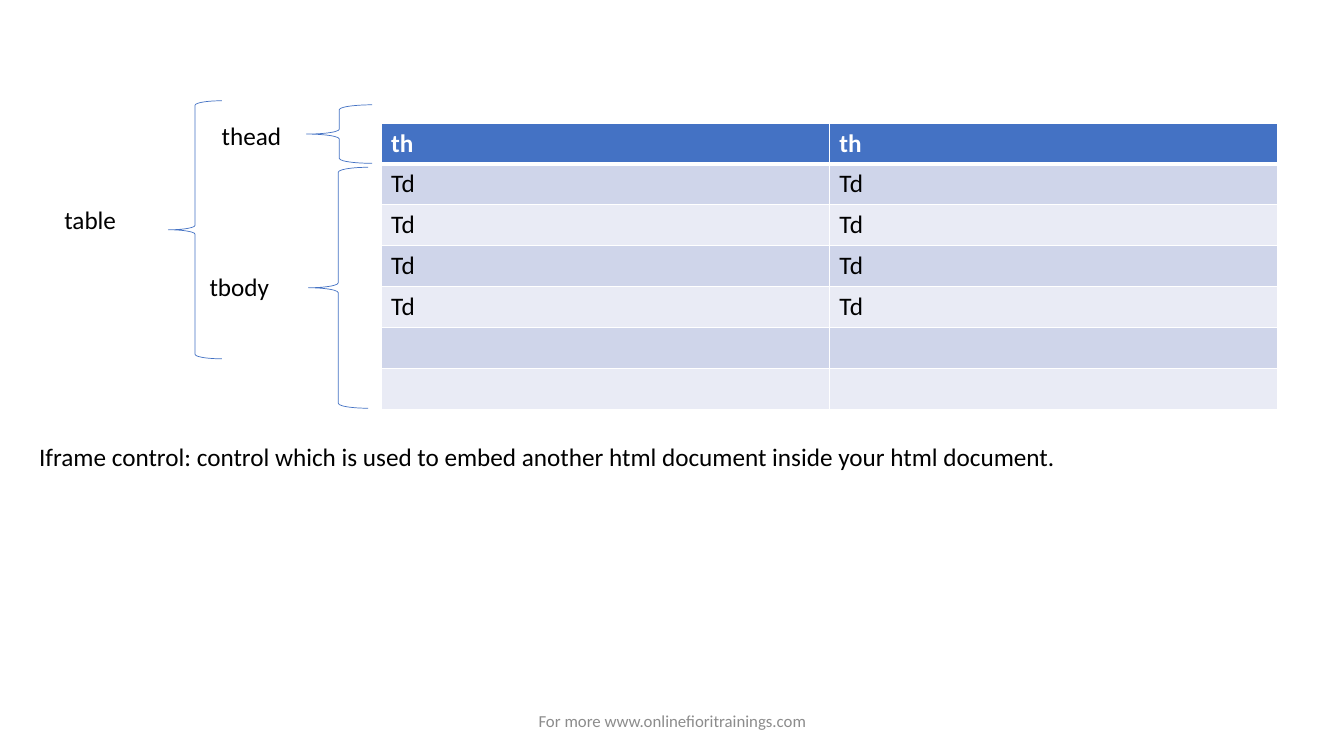
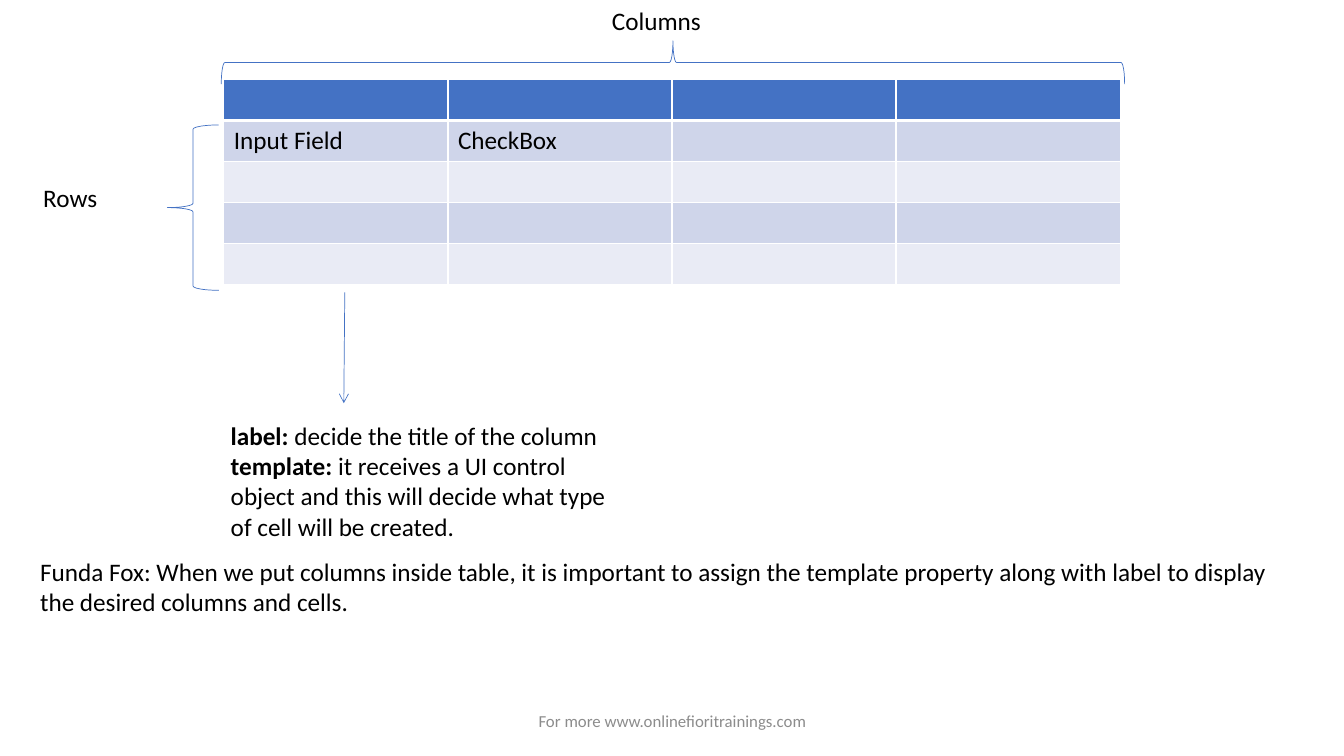
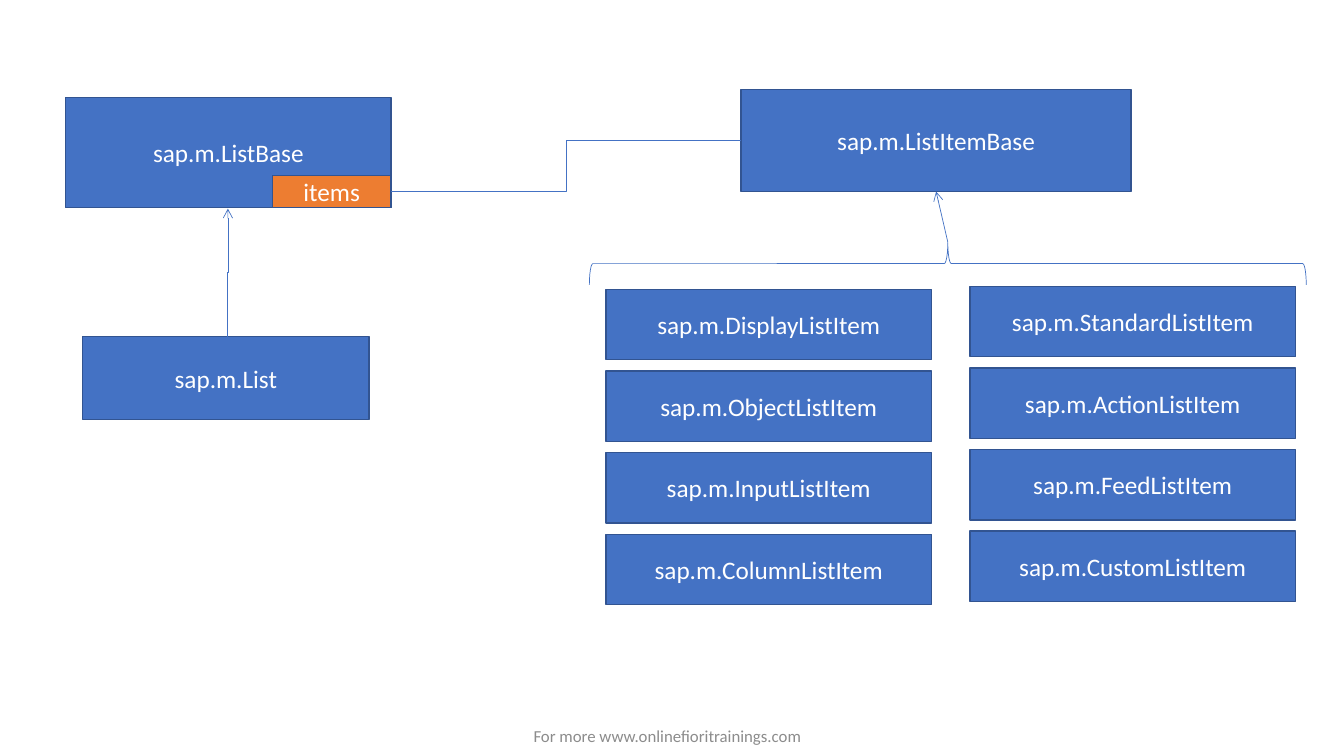
from lxml.etree import SubElement
from pptx import Presentation
from pptx.dml.color import RGBColor
from pptx.enum.shapes import MSO_CONNECTOR, MSO_SHAPE
from pptx.enum.text import MSO_ANCHOR, MSO_AUTO_SIZE, PP_ALIGN
from pptx.oxml.ns import qn
from pptx.util import Emu, Pt

EMU_PER_PX = 9144
FONT = "Calibri"
BLUE = "4472C4"
DARK_BLUE = "325491"
ORANGE = "ED7D31"
WHITE = "FFFFFF"
BLACK = "000000"
GREY = "8C8C8C"
BANDS = ("CFD5EA", "E9EBF5")
FOOTER = "For more www.onlinefioritrainings.com"


def px(length):
    return Emu(round(length * EMU_PER_PX))


def color(value):
    return RGBColor.from_string(value)


def style(paragraph, ink=BLACK, size=18, bold=False, align=PP_ALIGN.LEFT):
    paragraph.alignment = align
    font = paragraph.font
    font.name = FONT
    font.size = Pt(size)
    font.color.rgb = color(ink)
    font.bold = bold


def outline(line, ink=BLUE, width=0.5):
    line.color.rgb = color(ink)
    line.width = Pt(width)


def text_frame(slide, left, top, width, height):
    frame = slide.shapes.add_textbox(*map(px, (left, top, width, height))).text_frame
    frame.word_wrap = True
    return frame


def label(slide, text, left, top, width, height=40):
    frame = text_frame(slide, left, top, width, height)
    frame.auto_size = MSO_AUTO_SIZE.SHAPE_TO_FIT_TEXT
    frame.text = text
    style(frame.paragraphs[0])


def definitions(slide, entries, left, top, width, height):
    frame = text_frame(slide, left, top, width, height)
    frame.auto_size = MSO_AUTO_SIZE.SHAPE_TO_FIT_TEXT
    for number, (term, meaning) in enumerate(entries):
        paragraph = frame.add_paragraph() if number else frame.paragraphs[0]
        style(paragraph)
        term_run = paragraph.add_run()
        term_run.text = f"{term}: "
        term_run.font.bold = True
        paragraph.add_run().text = meaning


def footer(slide, left=442, top=695):
    frame = text_frame(slide, left, top, 450, 40)
    frame.vertical_anchor = MSO_ANCHOR.MIDDLE
    frame.text = FOOTER
    style(frame.paragraphs[0], GREY, 12, align=PP_ALIGN.CENTER)


def brace(slide, left, top, width, height, rotation=0, preset=MSO_SHAPE.LEFT_BRACE):
    shape = slide.shapes.add_shape(preset, *map(px, (left, top, width, height)))
    shape.rotation = rotation
    shape.shadow.inherit = False
    shape.fill.background()
    outline(shape.line)


def class_box(slide, name, left, top, width, height, fill=BLUE):
    box = slide.shapes.add_shape(MSO_SHAPE.RECTANGLE, *map(px, (left, top, width, height)))
    box.shadow.inherit = False
    box.fill.solid()
    box.fill.fore_color.rgb = color(fill)
    outline(box.line, DARK_BLUE, 1)
    frame = box.text_frame
    frame.word_wrap = True
    frame.vertical_anchor = MSO_ANCHOR.MIDDLE
    frame.text = name
    style(frame.paragraphs[0], WHITE, align=PP_ALIGN.CENTER)
    return box


def link(slide, start, end, kind=MSO_CONNECTOR.STRAIGHT, arrow=True):
    connector = slide.shapes.add_connector(kind, *map(px, (*start, *end)))
    outline(connector.line)
    properties = connector.element.spPr
    if arrow:
        SubElement(properties.find(qn("a:ln")), qn("a:tailEnd"), type="arrow")
    SubElement(properties, qn("a:effectLst"))
    return connector


def vertical_elbow(slide, start, end):
    middle_x, middle_y = (start[0] + end[0]) / 2, (start[1] + end[1]) / 2
    turned = [(middle_x + y - middle_y, middle_y - x + middle_x) for x, y in (start, end)]
    connector = link(slide, *turned, MSO_CONNECTOR.ELBOW)
    connector.element.spPr.find(qn("a:xfrm")).set("rot", "5400000")


def cell_borders(cell, is_header, below_header):
    properties = cell._tc.get_or_add_tcPr()
    widths = {"lnL": 1, "lnR": 1, "lnT": 3 if below_header else 1, "lnB": 3 if is_header else 1}
    for position, (side, width) in enumerate(widths.items()):
        edge = properties.makeelement(qn(f"a:{side}"), {"w": str(Pt(width))})
        fill = SubElement(edge, qn("a:solidFill"))
        SubElement(fill, qn("a:srgbClr"), val=WHITE)
        properties.insert(position, edge)


def banded_table(slide, rows, left, top, width, row_height):
    columns = len(rows[0])
    height = row_height * len(rows)
    table = slide.shapes.add_table(
        len(rows), columns, *map(px, (left, top, width, height))
    ).table
    for row_number, row in enumerate(rows):
        is_header = row_number == 0
        for column_number, text in enumerate(row):
            cell = table.cell(row_number, column_number)
            cell.text = text
            style(cell.text_frame.paragraphs[0], WHITE if is_header else BLACK, bold=is_header)
            cell.fill.solid()
            cell.fill.fore_color.rgb = color(BLUE if is_header else BANDS[(row_number - 1) % 2])
            cell_borders(cell, is_header, row_number == 1)


def table_tags_slide(slide):
    footer(slide)
    rows = [("th", "th")] + [("Td", "Td")] * 4 + [("", "")] * 2
    banded_table(slide, rows, 378, 122, 889, 40.6)
    brace(slide, 304, 104, 65, 58)
    brace(slide, 306, 166, 59, 239)
    brace(slide, 167, 100, 53, 256)
    label(slide, "thead", 210, 114, 143)
    label(slide, "tbody", 198, 264, 143)
    label(slide, "table", 54, 198, 106)
    label(
        slide,
        "Iframe control: control which is used to embed another html document "
        "inside your html document.",
        29, 433, 1240,
    )


def table_control_slide(slide):
    footer(slide)
    rows = [("",) * 4, ("Input Field", "CheckBox", "", "")] + [("",) * 4] * 3
    banded_table(slide, rows, 222, 79, 889, 40.6)
    brace(slide, 166, 124, 51, 164)
    label(slide, "Rows", 33, 176, 131)
    brace(slide, 646, -386, 43, 896, 270, MSO_SHAPE.RIGHT_BRACE)
    label(slide, "Columns", 597, 0, 159)
    link(slide, (342, 290), (341, 400))
    definitions(
        slide,
        [
            ("label", "decide the title of the column"),
            (
                "template",
                "it receives a UI control object and this will decide "
                "what type of cell will be created.",
            ),
        ],
        219, 412, 411, 131,
    )
    label(
        slide,
        "Funda Fox: When we put columns inside table, it is important to assign the "
        "template property along with label to display the desired columns and cells.",
        30, 547, 1276, 71,
    )


def list_classes_slide(slide):
    footer(slide, 437, 710)
    class_box(slide, "sap.m.List", 82, 334, 284, 82)
    class_box(slide, "sap.m.ListBase", 65, 97, 323, 109)
    vertical_elbow(slide, (225, 334), (226, 207))
    items = class_box(slide, "items", 270, 174, 118, 32, ORANGE)
    item_base = class_box(slide, "sap.m.ListItemBase", 735, 89, 387, 101)
    aggregation = link(slide, (388, 190), (735, 140), MSO_CONNECTOR.ELBOW, arrow=False)
    aggregation.begin_connect(items, 3)
    aggregation.end_connect(item_base, 1)

    item_columns = [
        (601, 287, ("Display", "Object", "Input", "Column")),
        (962, 284, ("Standard", "Action", "Feed", "Custom")),
    ]
    for left, first_top, kinds in item_columns:
        for row_number, kind in enumerate(kinds):
            class_box(slide, f"sap.m.{kind}ListItem", left, first_top + 81 * row_number, 323, 70)

    brace(slide, 919, -94, 42, 711, 90)
    inheritance = link(slide, (940, 240), (928, 190))
    inheritance.end_connect(item_base, 2)


def main():
    presentation = Presentation()
    presentation.slide_width = px(1333)
    presentation.slide_height = px(750)
    blank = presentation.slide_layouts[6]
    for build in (table_tags_slide, table_control_slide, list_classes_slide):
        build(presentation.slides.add_slide(blank))
    presentation.save("out.pptx")


if __name__ == "__main__":
    main()
